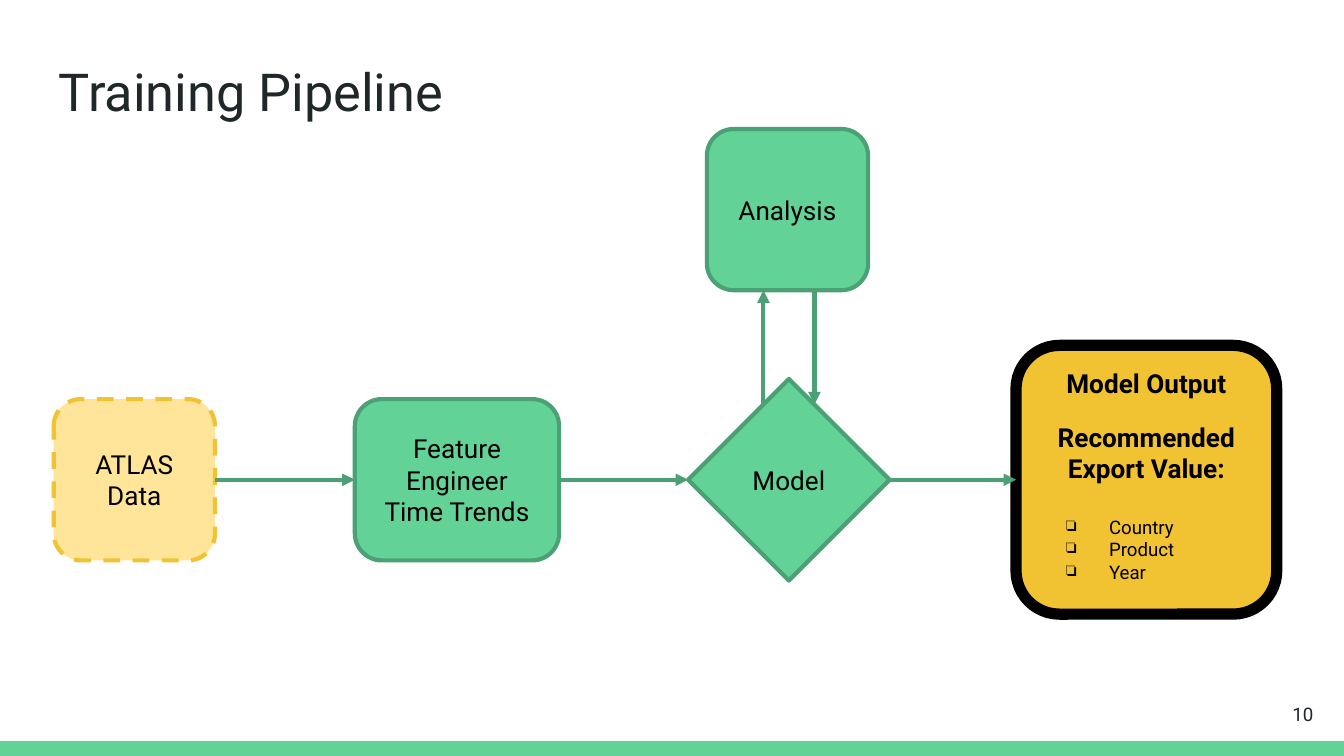
"""Build the Training Pipeline flow slide on a grid of 0.1 inch cells."""
from dataclasses import dataclass

from lxml import etree
from pptx import Presentation
from pptx.dml.color import RGBColor
from pptx.enum.dml import MSO_LINE_DASH_STYLE
from pptx.enum.shapes import MSO_CONNECTOR, MSO_SHAPE
from pptx.enum.text import MSO_ANCHOR, PP_ALIGN
from pptx.oxml.ns import qn
from pptx.util import Emu, Inches, Pt

BOX = MSO_SHAPE.FLOWCHART_ALTERNATE_PROCESS
DIAMOND = MSO_SHAPE.DIAMOND
RECT = MSO_SHAPE.RECTANGLE
STRAIGHT = MSO_CONNECTOR.STRAIGHT
DASH = MSO_LINE_DASH_STYLE.DASH
TOP, MIDDLE = MSO_ANCHOR.TOP, MSO_ANCHOR.MIDDLE
LEFT, CENTER, RIGHT = PP_ALIGN.LEFT, PP_ALIGN.CENTER, PP_ALIGN.RIGHT

COLORS = {
    "green": "63D297", "edge": "4BA173", "cream": "FFE599",
    "gold": "F1C232", "black": "000000", "ink": "202729",
}
FONT = "Roboto"
CELL = Inches(0.1)
COLS = 100
FLOW_ROW = 35.7
LOOP_OFFSET = 1.9


@dataclass(frozen=True)
class Node:
    x: float
    y: float
    w: float
    h: float
    text: str = ""
    fill: str = "green"
    line: str = "edge"
    weight: float = 2.25
    shape: int = BOX
    dashed: bool = False

    @property
    def left(self) -> float:
        return self.x - self.w / 2

    @property
    def right(self) -> float:
        return self.x + self.w / 2

    @property
    def top(self) -> float:
        return self.y - self.h / 2

    @property
    def bottom(self) -> float:
        return self.y + self.h / 2


DATA = Node(10, FLOW_ROW, 12, 12, "ATLAS Data", "cream", "gold", dashed=True)
FEATURES = Node(34, FLOW_ROW, 15.2, 12, "Feature Engineer Time Trends")
MODEL = Node(58.7, FLOW_ROW, 15, 15, "Model", shape=DIAMOND)
OUTPUT = Node(85.3, FLOW_ROW, 19.4, 20, fill="gold", line="black", weight=6)
ANALYSIS = Node(58.6, 15.6, 12, 12, "Analysis")
FLOW = (DATA, FEATURES, MODEL, OUTPUT)


def cells(n: float) -> Emu:
    return Emu(round(n * CELL))


def rgb(name: str) -> RGBColor:
    return RGBColor.from_string(COLORS[name])


def add_text(tf, text: str, *, size: float = 14, color: str = "black",
             bold: bool = False, align: int = CENTER, anchor: int = MIDDLE,
             before: float = 0, bullet: str = "") -> None:
    tf.word_wrap = True
    tf.vertical_anchor = anchor
    tf.margin_left = tf.margin_right = tf.margin_top = tf.margin_bottom = CELL
    p = tf.add_paragraph() if tf.text else tf.paragraphs[0]
    if bullet:
        pPr = p._p.get_or_add_pPr()
        pPr.set("marL", str(cells(5)))
        pPr.set("indent", str(cells(-3.2)))
        etree.SubElement(pPr, qn("a:buChar")).set("char", bullet)
    p.alignment = align
    if before:
        p.space_before = Pt(before)
    r = p.add_run()
    r.text = text
    r.font.name, r.font.size, r.font.bold = FONT, Pt(size), bold
    r.font.color.rgb = rgb(color)


def add_node(slide, node: Node):
    sp = slide.shapes.add_shape(node.shape, cells(node.left), cells(node.top),
                                cells(node.w), cells(node.h))
    sp.shadow.inherit = False
    sp.fill.solid()
    sp.fill.fore_color.rgb = rgb(node.fill)
    sp.line.color.rgb = rgb(node.line)
    sp.line.width = Pt(node.weight)
    if node.dashed:
        sp.line.dash_style = DASH
    if node.text:
        add_text(sp.text_frame, node.text)
    return sp


def add_arrow(slide, x1: float, y1: float, x2: float, y2: float) -> None:
    cxn = slide.shapes.add_connector(STRAIGHT, cells(x1), cells(y1),
                                     cells(x2), cells(y2))
    cxn.line.color.rgb = rgb("edge")
    cxn.line.width = Pt(2.25)
    etree.SubElement(cxn.line._get_or_add_ln(), qn("a:tailEnd")).set("type", "triangle")
    etree.SubElement(cxn._element.spPr, qn("a:effectLst"))


def add_label(slide, x: float, y: float, w: float, h: float,
              text: str, **fmt) -> None:
    sp = slide.shapes.add_textbox(cells(x), cells(y), cells(w), cells(h))
    add_text(sp.text_frame, text, color="ink", **fmt)


def add_output(slide) -> None:
    tf = add_node(slide, OUTPUT).text_frame
    add_text(tf, "Model Output", bold=True, anchor=TOP)
    add_text(tf, "Recommended Export Value:", bold=True, anchor=TOP, before=12)
    for i, item in enumerate(("Country", "Product", "Year")):
        add_text(tf, item, size=10, align=LEFT, anchor=TOP, bullet="❏",
                 before=0 if i else 17)
    tf.margin_top = cells(0.7)


def main() -> None:
    prs = Presentation()
    prs.slide_width = cells(COLS)
    prs.slide_height = prs.slide_width * 9 // 16
    slide = prs.slides.add_slide(prs.slide_layouts[6])

    rows = prs.slide_height / CELL
    sp = slide.shapes.add_shape(RECT, 0, cells(rows - 1.1), cells(COLS), cells(1.1))
    sp.shadow.inherit = False
    sp.fill.solid()
    sp.fill.fore_color.rgb = rgb("green")
    sp.line.fill.background()

    add_label(slide, 3.4, 3.4, 93.2, 6.3, "Training Pipeline",
              size=28, align=LEFT, anchor=TOP)
    for node in (DATA, MODEL, FEATURES, ANALYSIS):
        add_node(slide, node)
    add_output(slide)

    for a, b in zip(FLOW, FLOW[1:]):
        add_arrow(slide, a.right, a.y, b.left, b.y)
    loop_row = MODEL.top + LOOP_OFFSET
    up, down = MODEL.x - LOOP_OFFSET, MODEL.x + LOOP_OFFSET
    add_arrow(slide, up, loop_row, up, ANALYSIS.bottom)
    add_arrow(slide, down, ANALYSIS.bottom, down, loop_row)

    add_label(slide, 92.7, 51, 6, 4.3, "10", size=10, align=RIGHT)
    prs.save("out.pptx")


if __name__ == "__main__":
    main()
